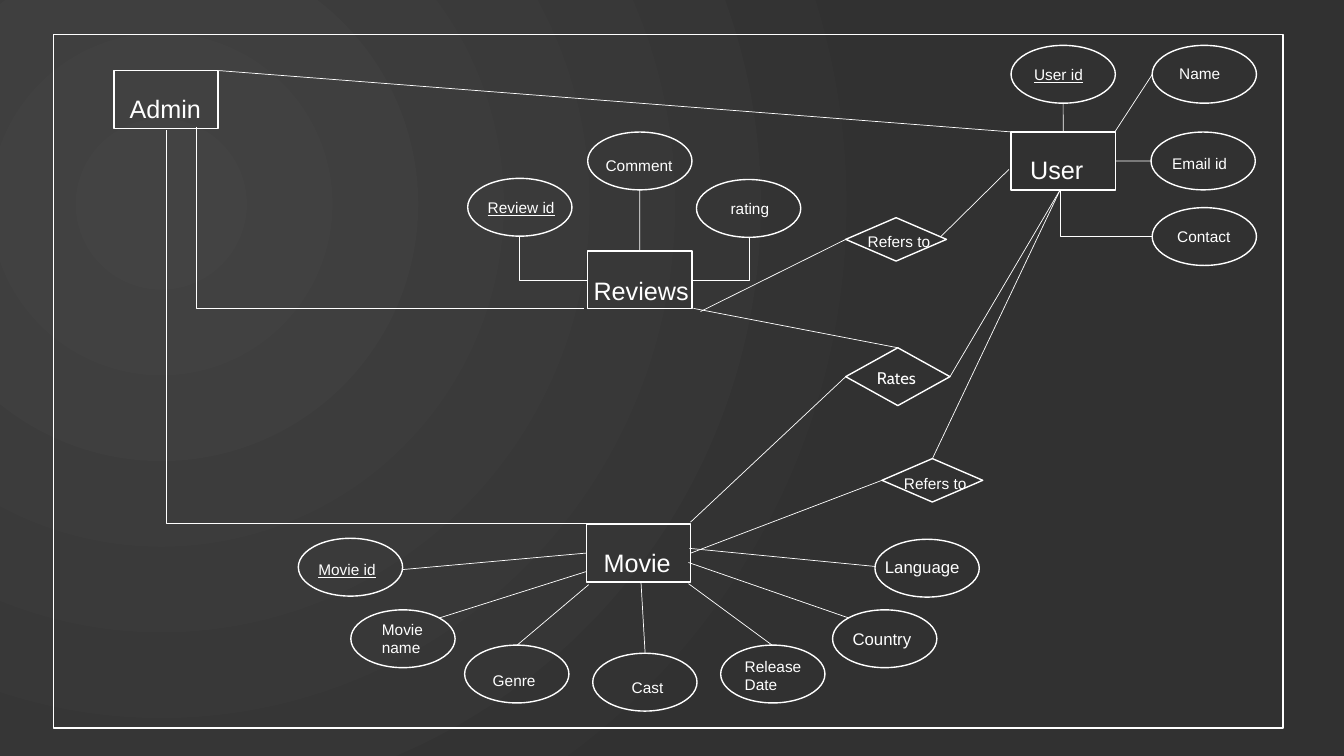
from pptx import Presentation
from pptx.dml.color import RGBColor
from pptx.enum.shapes import MSO_CONNECTOR, MSO_SHAPE
from pptx.enum.text import MSO_AUTO_SIZE
from pptx.oxml.ns import qn
from pptx.util import Pt
from lxml.etree import SubElement


def paint(code):
    return RGBColor.from_string(code)


class Board:
    ink = "FFFFFF"
    font = "Arial"
    wide, high = 74.5, 41.3

    def __init__(self, slide):
        self.slide = slide
        self.shapes = slide.shapes

    def ground(self, inner, outer):
        fill = self.slide.background.fill
        fill.gradient()
        for stop, code in zip(fill.gradient_stops, (inner, outer)):
            stop.color.rgb = paint(code)
        grad = self.slide.element.find(".//" + qn("a:gradFill"))
        grad.remove(grad.find(qn("a:lin")))
        ring = SubElement(grad, qn("a:path"), path="circle")
        SubElement(ring, qn("a:fillToRect"), l="50000", t="55000", r="125000", b="100000")

    def stroke(self, item, width):
        item.line.color.rgb = paint(self.ink)
        item.line.width = Pt(width)

    def shape(self, kind, x, y, w=wide, h=high):
        item = self.shapes.add_shape(kind, Pt(x), Pt(y), Pt(w), Pt(h))
        item.shadow.inherit = False
        item.fill.background()
        self.stroke(item, 1)
        return item

    def text(self, words, x, y, w=67, size=11, font=font, rows=1, line=False, inset=0):
        item = self.shapes.add_textbox(Pt(x), Pt(y), Pt(w), Pt(7.2 + 1.2 * size * rows))
        frame = item.text_frame
        frame.word_wrap = True
        frame.auto_size = MSO_AUTO_SIZE.SHAPE_TO_FIT_TEXT
        frame.margin_left = Pt(7.2 + inset)
        frame.text = words
        style = frame.paragraphs[0].runs[0].font
        style.name = font
        style.size = Pt(size)
        style.color.rgb = paint(self.ink)
        if line:
            style.underline = True

    def wire(self, kind, start, end):
        item = self.shapes.add_connector(kind, *(Pt(n) for n in start + end))
        self.stroke(item, 0.5)
        SubElement(item.element.spPr, qn("a:effectLst"))
        return item

    def link(self, start, end):
        ends = [p if isinstance(p[0], (int, float)) else (0, 0) for p in (start, end)]
        item = self.wire(MSO_CONNECTOR.STRAIGHT, *ends)
        if ends[0] != start:
            item.begin_connect(*start)
        if ends[1] != end:
            item.end_connect(*end)

    def bend(self, start, end):
        (x1, y1), (x2, y2) = start, end
        mid, half = (x1 + x2) / 2, (y2 - y1) / 2
        top = (y1 + y2) / 2 - abs(x2 - x1) / 2
        low = top + abs(x2 - x1)
        side = 1 if x2 > x1 else -1
        item = self.wire(MSO_CONNECTOR.ELBOW, (mid + side * half, top), (mid - side * half, low))
        form = item.element.spPr
        form.find(qn("a:prstGeom")).set("prst", "bentConnector2")
        form.find(qn("a:xfrm")).set("rot", str((270 if side > 0 else 90) * 60000))


def main():
    deck = Presentation()
    deck.slide_width, deck.slide_height = Pt(960), Pt(540)
    board = Board(deck.slides.add_slide(deck.slide_layouts[6]))
    board.ground("434343", "313131")

    rect, oval, rhomb = MSO_SHAPE.RECTANGLE, MSO_SHAPE.OVAL, MSO_SHAPE.FLOWCHART_DECISION
    board.shape(rect, 38.2, 24.5, 878.4, 495.4)
    user = board.shape(rect, 722.2, 94.3)
    board.shape(rect, 81.4, 50.4)
    review = board.shape(rect, 419.8, 179.3)
    movie = board.shape(rect, 419, 374.4)
    rates = board.shape(rhomb, 604.1, 248.4)
    refer = board.shape(rhomb, 604.1, 155.5, 72, 31)
    other = board.shape(rhomb, 630, 327.6, 72, 31)

    for x, y in (
        (722.2, 32.4), (823, 32.4), (822.2, 94.3), (823, 148.3),
        (334.1, 127.4), (419.8, 94.3), (497.5, 128.2),
        (213.1, 384.5), (250.6, 435.6), (331.9, 460.8), (423.4, 466.6),
        (514.8, 460.8), (594.7, 435.6), (625, 385.2),
    ):
        board.shape(oval, x, y)

    for words, x, y, w, inset in (
        ("User", 720.7, 106.6, 74.2, 8),
        ("Admin", 81.4, 63.4, 74.2, 4),
        ("Reviews", 416.9, 193, 83.5, 0),
        ("Movie", 424.1, 387.4, 67, 0),
    ):
        board.text(words, x, y, w, 18, inset=inset)

    for words, x, y, w in (
        ("User id", 731.5, 43.2, 56.2),
        ("Review id", 341.3, 138.2, 67),
        ("Movie id", 220.3, 396.7, 67),
    ):
        board.text(words, x, y, w, line=True)

    for words, x, y, w in (
        ("Name", 835.2, 42.5, 47.5),
        ("Email id", 830.2, 106.6, 59),
        ("Contact", 833.8, 158.4, 53),
        ("Comment", 425.5, 108, 67),
        ("rating", 514.8, 139, 67),
        ("Genre", 344.9, 475.9, 67),
        ("Cast", 444.2, 481, 67),
        ("Refers to", 612.7, 162, 67),
        ("Refers to", 638.6, 334.8, 67),
    ):
        board.text(words, x, y, w)

    board.text("Movie name", 265.7, 439.2, rows=2)
    board.text("Release Date", 524.9, 465.8, rows=2)
    board.text("Country", 601.9, 445.7, size=12)
    board.text("Language", 625, 393.8, 74.2, 12)
    board.text("Rates", 619.2, 259.2, 47.5, 12, "Cabin")

    foot = (757.4, 135.4)
    for start, end in (
        (foot, (rates, 3)),
        ((493.2, 373), (rates, 1)),
        ((495.4, 220.3), (rates, 0)),
        ((759.4, 74), (user, 0)),
        ((823, 53.3), (796.3, 94.3)),
        ((user, 3), (822.2, 115)),
        ((movie, 1), (288, 406.8)),
        ((419, 408.2), (313.9, 441.4)),
        ((420.5, 417.6), (369.4, 460.8)),
        ((625, 404.6), (492.5, 391.7)),
        ((606.2, 441.4), (491.8, 401.8)),
        ((551.5, 460.8), (491.8, 416.9)),
        ((460.8, 466.6), (457.9, 416.2)),
        ((review, 0), (457, 135.4)),
        ((156.2, 50.4), (722.9, 94.3)),
        ((671.8, 169.2), (720.7, 121)),
        ((500.4, 222.5), (refer, 1)),
        (foot, (other, 0)),
        ((movie, 3), (other, 1)),
    ):
        board.link(start, end)

    for start, end in (
        (foot, (823, 169.2)),
        ((535, 169.2), (494.6, 200.2)),
        ((370.8, 169.2), (419.8, 200.2)),
        ((140.4, 90.7), (416.9, 220.3)),
        ((118.8, 92.9), (419, 373.7)),
    ):
        board.bend(start, end)

    deck.save("out.pptx")


if __name__ == "__main__":
    main()
